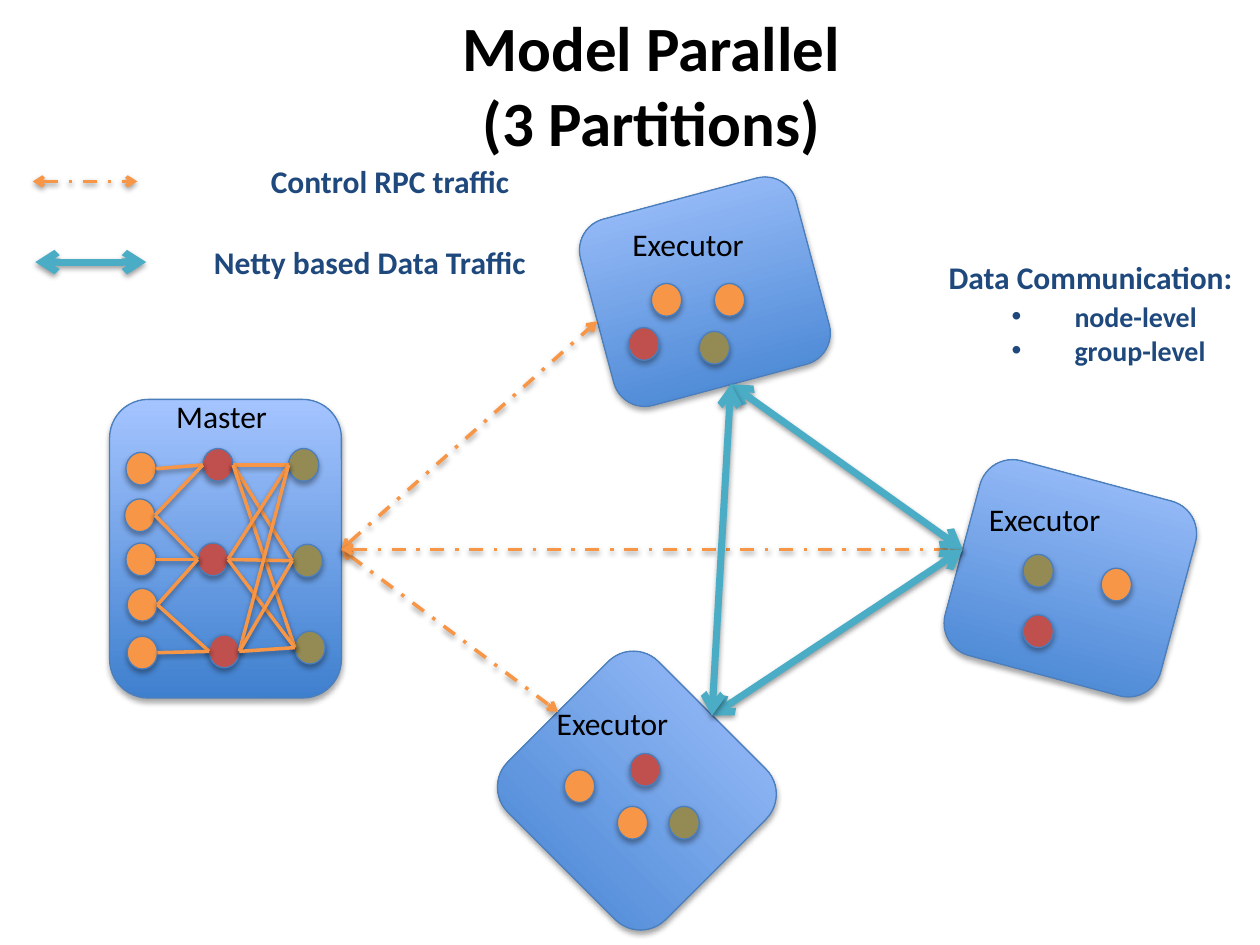
from lxml import etree
from pptx import Presentation
from pptx.dml.color import RGBColor
from pptx.enum.dml import MSO_LINE
from pptx.enum.shapes import MSO_CONNECTOR, MSO_SHAPE
from pptx.enum.text import MSO_ANCHOR, PP_ALIGN
from pptx.oxml.ns import qn
from pptx.util import Inches, Pt

ROUND, OVAL = MSO_SHAPE.ROUNDED_RECTANGLE, MSO_SHAPE.OVAL
STRAIGHT = MSO_CONNECTOR.STRAIGHT
DASH = MSO_LINE.DASH_DOT
CENTER, LEFT = PP_ALIGN.CENTER, PP_ALIGN.LEFT
TOP, MIDDLE = MSO_ANCHOR.TOP, MSO_ANCHOR.MIDDLE

COLORS = {
    "black": "000000", "navy": "1F497D", "edge": "4B7EBC",
    "dark": "3F80CE", "light": "A4C4FF", "orange": "F79646",
    "red": "C0504D", "olive": "948A54", "teal": "4BACC6",
}
DOT_W, DOT_H = 0.24, 0.26

BOXES = [
    (4.71, 1.55, 1.77, 1.53, 345),
    (7.61, 3.79, 1.77, 1.6, 15),
    (0.87, 3.17, 1.84, 2.37, 0),
    (4.17, 5.43, 1.77, 1.69, 45),
]
DOTS = {
    "orange": [(4.48, 6.11), (4.9, 6.4), (8.74, 4.51), (5.17, 2.25), (5.67, 2.25)],
    "red": [(8.12, 4.88), (4.99, 2.6), (5, 5.98)],
    "olive": [(8.12, 4.4), (5.31, 6.4), (5.55, 2.63)],
}
LAYERS = {
    "orange": [(1, 3.59), (0.99, 3.96), (1, 4.31), (1.01, 4.67), (1.01, 5.05)],
    "red": [(1.61, 3.56), (1.57, 4.31), (1.66, 5.04)],
    "olive": [(2.29, 3.56), (2.32, 4.32), (2.34, 5.01)],
}
INPUTS = [(0, 0), (1, 0), (1, 1), (2, 1), (3, 1), (3, 2), (4, 2)]

HUB, NORTH, EAST, SOUTH = (2.71, 4.36), (5.8, 3.05), (7.64, 4.36), (5.65, 5.68)
CONTROL = [(HUB, (4.74, 2.55)), (HUB, (4.43, 5.65)), (HUB, EAST),
           ((0.26, 1.44), (1.09, 1.44))]
DATA = [(NORTH, EAST), (SOUTH, EAST), (SOUTH, NORTH),
        ((0.28, 2.08), (1.16, 2.08))]
LABELS = [
    ("Master", 1.3, 3.1), ("Executor", 7.75, 3.92),
    ("Executor", 4.92, 1.74), ("Executor", 4.32, 5.54),
]


def rgb(name):
    return RGBColor.from_string(COLORS[name])


def add_shadow(item, dist, alpha):
    effects = etree.SubElement(item.element.spPr, qn("a:effectLst"))
    outer = etree.SubElement(effects, qn("a:outerShdw"), blurRad="40000",
                             dist=str(dist), dir="5400000", rotWithShape="0")
    color = etree.SubElement(outer, qn("a:srgbClr"), val=COLORS["black"])
    etree.SubElement(color, qn("a:alpha"), val=str(alpha * 1000))


def add_solid(slide, kind, x, y, w, h, turn=0):
    shape = slide.shapes.add_shape(kind, Inches(x), Inches(y), Inches(w), Inches(h))
    shape.rotation = turn
    shape.line.color.rgb = rgb("edge")
    shape.line.width = Pt(0.75)
    add_shadow(shape, 23000, 35)
    return shape


def add_box(slide, *place):
    fill = add_solid(slide, ROUND, *place).fill
    fill.gradient()
    fill.gradient_angle = 90
    for stop, name in zip(fill.gradient_stops, ("dark", "light")):
        stop.color.rgb = rgb(name)


def add_dot(slide, x, y, color):
    fill = add_solid(slide, OVAL, x, y, DOT_W, DOT_H).fill
    fill.solid()
    fill.fore_color.rgb = rgb(color)


def add_line(slide, start, end, color="orange", width=2, dash=None, arrows=False):
    line = slide.shapes.add_connector(STRAIGHT, *map(Inches, start + end))
    line.line.color.rgb = rgb(color)
    line.line.width = Pt(width)
    if dash:
        line.line.dash_style = dash
    if arrows:
        for tag in ("a:headEnd", "a:tailEnd"):
            etree.SubElement(line.line._ln, qn(tag), type="arrow")
    add_shadow(line, 20000, 38)


def add_run(para, text, size, color, bold):
    run = para.add_run()
    run.text = text
    style = {"name": "Calibri", "size": Pt(size), "bold": bold}
    for key, value in style.items():
        setattr(run.font, key, value)
    run.font.color.rgb = rgb(color)


def add_text(slide, lines, x, y, w, h, size=18, color="navy", bold=True,
             align=LEFT, anchor=TOP):
    box = slide.shapes.add_textbox(Inches(x), Inches(y), Inches(w), Inches(h))
    frame = box.text_frame
    for key, value in {"word_wrap": True, "vertical_anchor": anchor}.items():
        setattr(frame, key, value)
    for i, text in enumerate(lines):
        para = frame.add_paragraph() if i else frame.paragraphs[0]
        para.alignment = align
        add_run(para, text, size, color, bold)
    return frame


def add_bullet(frame, text):
    para = frame.add_paragraph()
    para.level = 1
    props = para._p.get_or_add_pPr()
    props.set("marL", str(Inches(1)))
    props.set("indent", str(Inches(-0.5)))
    etree.SubElement(props, qn("a:buFont"), typeface="Arial")
    etree.SubElement(props, qn("a:buChar"), char="•")
    add_run(para, text, 16, "navy", True)


def add_link(slide, left, right):
    mid = DOT_H / 2
    add_line(slide, (left[0] + DOT_W, left[1] + mid), (right[0], right[1] + mid))


def add_net(slide):
    first, middle, last = LAYERS.values()
    for color, spots in LAYERS.items():
        for x, y in spots:
            add_dot(slide, x, y, color)
    for i, j in INPUTS:
        add_link(slide, first[i], middle[j])
    for left in middle:
        for right in last:
            add_link(slide, left, right)


def main():
    deck = Presentation()
    deck.slide_width, deck.slide_height = Inches(10), Inches(7.5)
    slide = deck.slides.add_slide(deck.slide_layouts[6])

    add_text(slide, ["Model Parallel", "(3 Partitions)"], -0.86, 0.06, 12.06, 1.21,
             size=36, color="black", align=CENTER, anchor=MIDDLE)
    for box in BOXES:
        add_box(slide, *box)
    for start, end in CONTROL:
        add_line(slide, start, end, dash=DASH, arrows=True)
    for start, end in DATA:
        add_line(slide, start, end, "teal", 4, arrows=True)

    notes = add_text(slide, ["Data Communication:"], 7.43, 2, 2.83, 1.01)
    notes.paragraphs[0].space_after = Pt(2)
    for text in ("node-level", "group-level"):
        add_bullet(notes, text)
    add_text(slide, ["Control RPC traffic"], 1.42, 1.24, 3.35, 0.4, align=CENTER)
    add_text(slide, ["Netty based Data Traffic"], 1.09, 1.88, 3.69, 0.4, align=CENTER)
    for text, x, y in LABELS:
        add_text(slide, [text], x, y, 1.23, 0.4, color="black", bold=False)

    for color, spots in DOTS.items():
        for x, y in spots:
            add_dot(slide, x, y, color)
    add_net(slide)
    deck.save("out.pptx")


if __name__ == "__main__":
    main()
